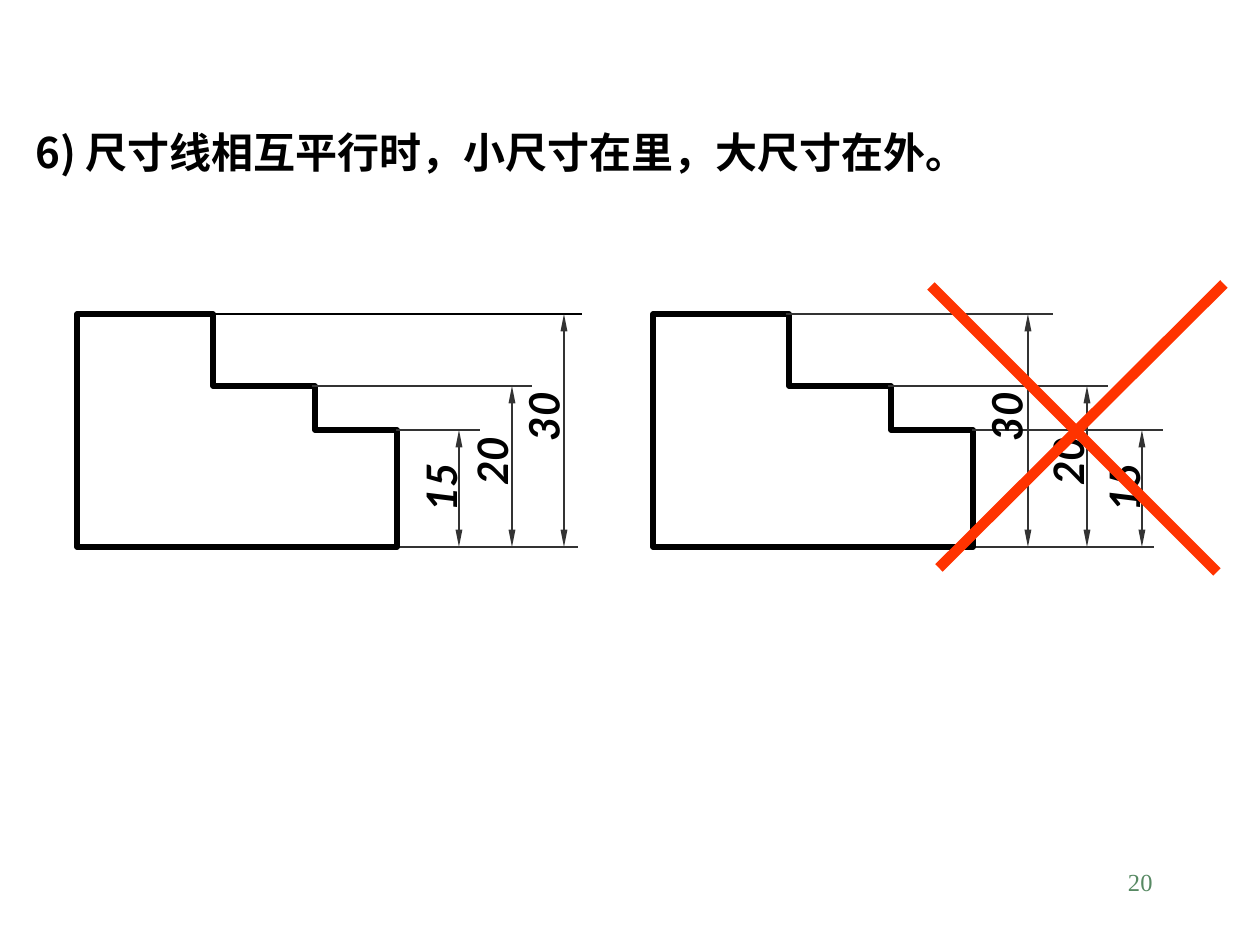
"""Build a slide showing right and wrong order of parallel dimension lines."""
from lxml import etree
from pptx import Presentation
from pptx.dml.color import RGBColor
from pptx.enum.shapes import MSO_CONNECTOR as Connector
from pptx.enum.text import MSO_ANCHOR as Anchor, MSO_AUTO_SIZE as AutoSize, PP_ALIGN as Align
from pptx.oxml.ns import qn
from pptx.util import Pt

PX = 914400 // 126
BLACK, GREY, RED, GREEN = "000000", "333333", "FF3300", "578963"


def style_text(shape, text, size, font, color, bold=False, italic=False, align=Align.LEFT):
    frame = shape.text_frame
    frame.text = text
    frame.word_wrap = True
    frame.auto_size = AutoSize.NONE
    frame.vertical_anchor = Anchor.TOP
    paragraph = frame.paragraphs[0]
    paragraph.alignment = align
    run = paragraph.runs[0]
    run.font.size = Pt(size)
    run.font.name = font
    run.font.bold = bold
    run.font.italic = italic
    run.font.color.rgb = RGBColor.from_string(color)
    etree.SubElement(run.font._element, qn("a:ea"), typeface=font)


def add_line(x1, y1, x2, y2, color=GREY, width=1, arrows=False):
    line = slide.shapes.add_connector(Connector.STRAIGHT, x1 * PX, y1 * PX, x2 * PX, y2 * PX)
    line.line.color.rgb = RGBColor.from_string(color)
    line.line.width = Pt(width)
    if arrows:
        for end in ("a:headEnd", "a:tailEnd"):
            etree.SubElement(line.line._ln, qn(end), type="triangle", w="sm", len="lg")
    etree.SubElement(line._element.spPr, qn("a:effectLst"))


presentation = Presentation()
presentation.slide_width = 1260 * PX
presentation.slide_height = 945 * PX
slide = presentation.slides.add_slide(presentation.slide_layouts[5])

title = slide.shapes.title
title.left, title.top, title.width, title.height = 23 * PX, 120 * PX, 1237 * PX, 63 * PX
style_text(title, "6) 尺寸线相互平行时，小尺寸在里，大尺寸在外。", 24, "Noto Sans CJK SC", BLACK, bold=True)

page_number = slide.shapes.add_textbox(903 * PX, 861 * PX, 262 * PX, 63 * PX)
style_text(page_number, "20", 14, "Times New Roman", GREEN, align=Align.RIGHT)

BASE = 547
OUTLINE = [(77, 314), (213, 314), (213, 386), (315, 386), (315, 430), (397, 430), (397, BASE)]
DIMENSIONS = [("15", 430, 396, 483, 83), ("20", 386, 312, 457, 83), ("30", 314, 210, 416, 76)]
FIGURES = [
    (0, [(480, 459, 440), (532, 512, 491), (582, 564, 543)], BLACK),
    (576, [(1163, 1142, 1123), (1108, 1087, 1067), (1053, 1028, 1006)], GREY),
]

for offset, columns, top_color in FIGURES:
    add_line(397 + offset, BASE, 578 + offset, BASE)
    builder = slide.shapes.build_freeform(77 + offset, BASE, scale=PX)
    builder.add_line_segments([(x + offset, y) for x, y in OUTLINE], close=True)
    part = builder.convert_to_shape()
    part.shadow.inherit = False
    part.fill.background()
    part.line.color.rgb = RGBColor.from_string(BLACK)
    part.line.width = Pt(3)
    etree.SubElement(part.line._ln, qn("a:round"))

    for (text, top, start, middle, width), (end, arrow_x, label_x) in zip(DIMENSIONS, columns):
        add_line(start + offset, top, end, top, top_color if text == "30" else GREY)
        add_line(arrow_x, BASE, arrow_x, top, arrows=True)
        label = slide.shapes.add_textbox(
            (label_x - width // 2) * PX, (middle - 32) * PX, width * PX, 63 * PX)
        label.rotation = 270
        style_text(label, text, 24, "Lato", BLACK, bold=True, italic=True)

add_line(1224, 284, 939, 568, RED, 6)
add_line(931, 286, 1217, 572, RED, 6)

presentation.save("out.pptx")
